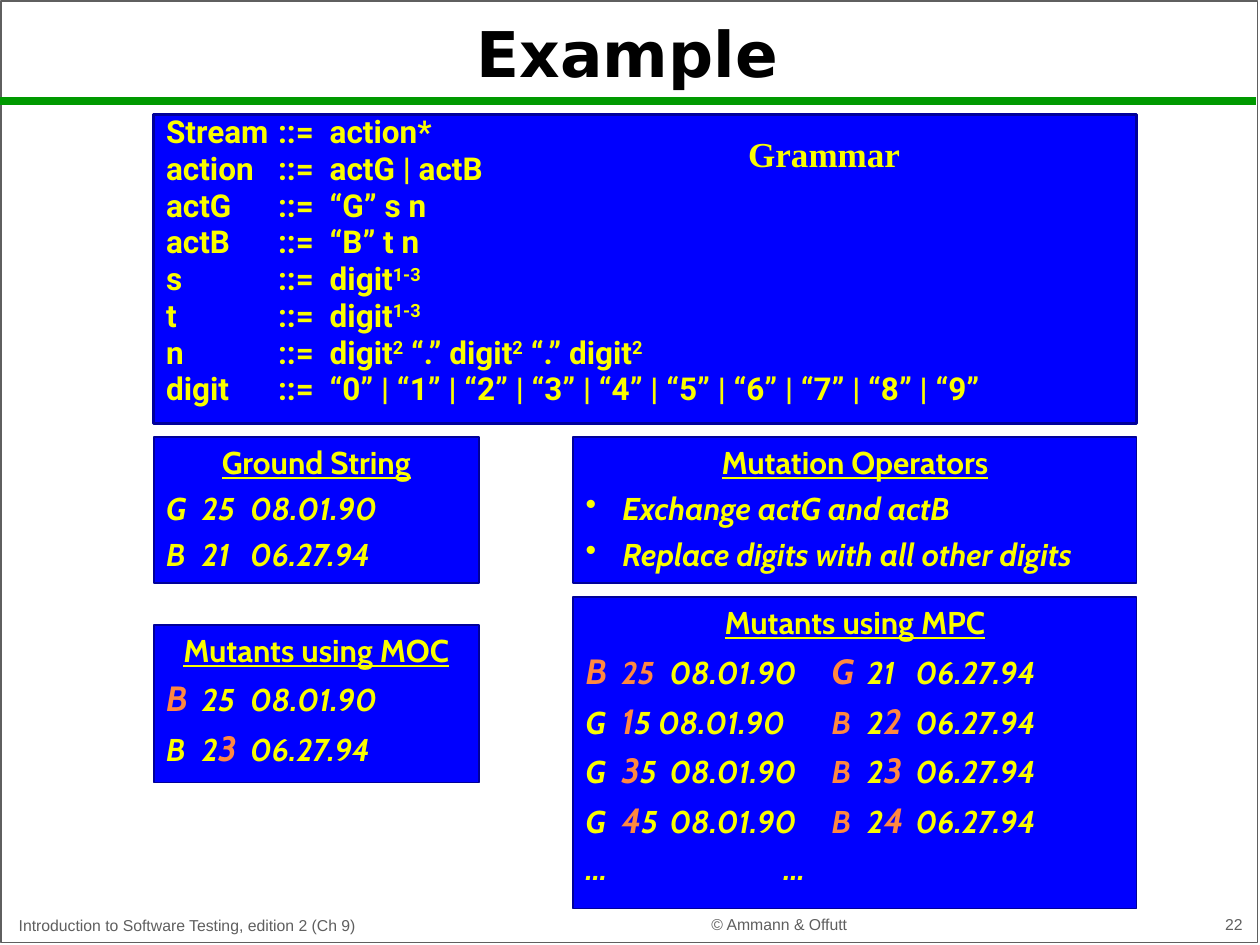
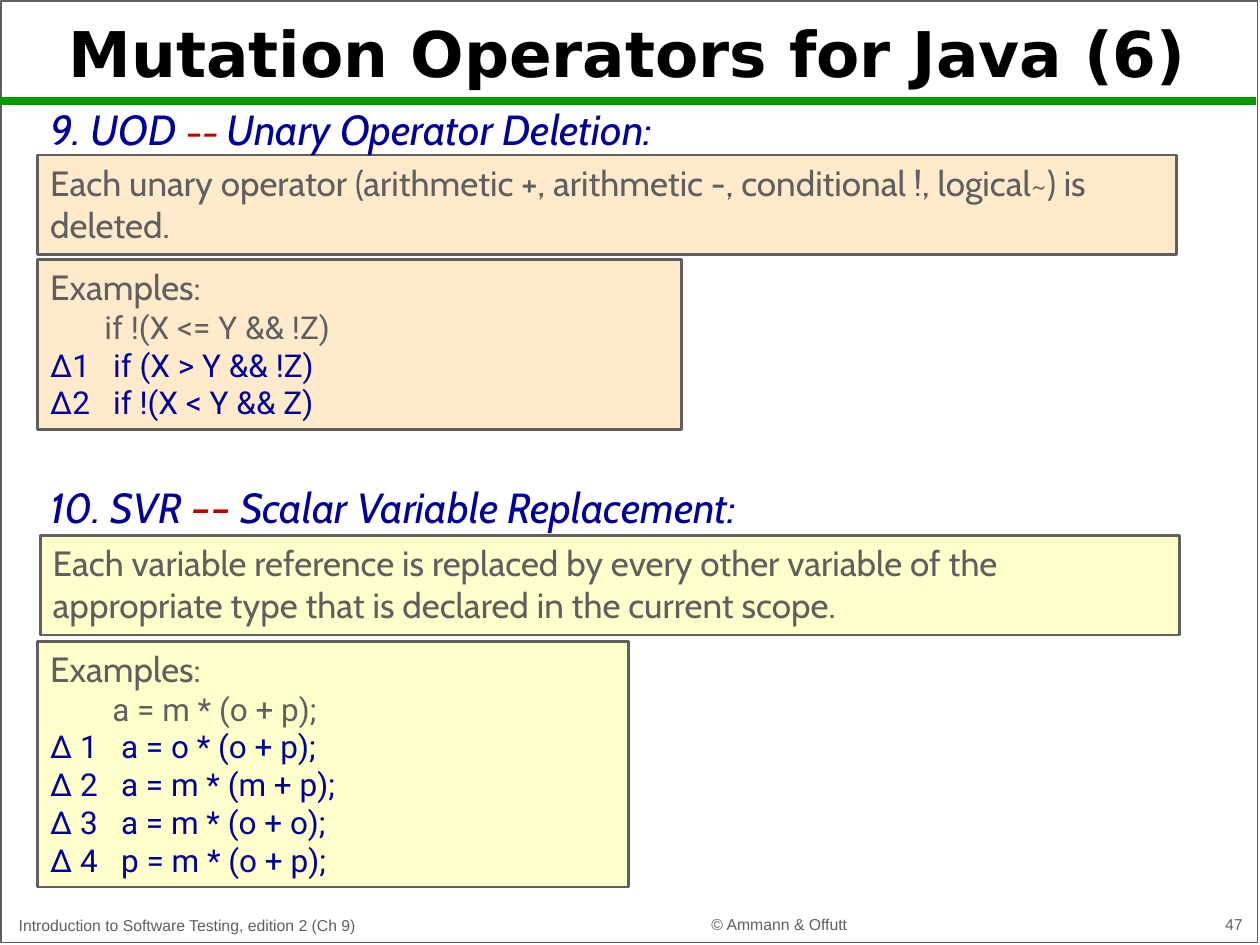
from lxml import etree
from pptx import Presentation
from pptx.dml.color import RGBColor
from pptx.enum.shapes import MSO_CONNECTOR, MSO_SHAPE
from pptx.enum.text import MSO_ANCHOR, PP_ALIGN
from pptx.oxml.ns import qn
from pptx.util import Pt

LEFT, CENTER, RIGHT = PP_ALIGN.LEFT, PP_ALIGN.CENTER, PP_ALIGN.RIGHT
TOP, MIDDLE, BOTTOM = MSO_ANCHOR.TOP, MSO_ANCHOR.MIDDLE, MSO_ANCHOR.BOTTOM
RECTANGLE, STRAIGHT = MSO_SHAPE.RECTANGLE, MSO_CONNECTOR.STRAIGHT

COLORS = {
    "black": "000000", "gray": "5F5F5F", "green": "009900",
    "blue": "0000FF", "navy": "000099", "yellow": "FAFD00",
    "orange": "FF8840", "red": "C00000", "peach": "FFEBCC", "cream": "FFFFCC",
}
TITLE = {"name": "DejaVu Sans", "size": 36, "color": "black", "bold": True}
FOOTER = {"name": "Arial", "size": 9, "color": "gray"}
GRAMMAR = {"name": "Roboto", "size": 18, "color": "yellow", "bold": True}
GRAMMAR_LABEL = {"name": "Times New Roman", "size": 20, "color": "yellow", "bold": True}
PANEL_TEXT = {"name": "Cabin", "size": 18, "color": "yellow", "bold": True, "italic": True}
PANEL_HEADING = {**PANEL_TEXT, "italic": False, "underline": True}
BODY = {"name": "Cabin", "size": 20, "color": "gray"}
CODE = {"name": "Roboto", "size": 18, "color": "gray"}
MUTANT_CODE = {**CODE, "color": "navy"}
OPERATOR = {"name": "Cabin", "size": 24, "color": "navy", "italic": True}

CHANGED = {"size": 20, "color": "orange"}
CHANGED_SMALL = {"color": "orange"}
SUPERSCRIPT = {"baseline": 30000}

GRAMMAR_STOPS = (64, 93.5)
MUTANT_STOPS = (20.5, 48, 140.5, 161, 188.5)
LEFT_PANEL, LEFT_WIDTH = 87.84, 185.76
RIGHT_PANEL, RIGHT_WIDTH = 327.6, 321.84


def color(name):
    """Return the named colour."""
    return RGBColor.from_string(COLORS[name])


def set_font(font, style):
    """Apply a text style to the font of a paragraph or run."""
    font.name = style["name"]
    font.size = Pt(style["size"])
    font.color.rgb = color(style["color"])
    font.bold = style.get("bold", False)
    font.italic = style.get("italic", False)
    font.underline = style.get("underline", False)


def set_layout(paragraph, stops=(), indent=0, bullet=False):
    """Set left indent, bullet and tab stops of a paragraph."""
    properties = paragraph._p.get_or_add_pPr()
    if indent:
        properties.set("marL", str(Pt(indent)))
        properties.set("indent", str(Pt(-indent) if bullet else 0))
    if bullet:
        etree.SubElement(properties, qn("a:buChar"), char="•")
    if stops:
        tabs = etree.SubElement(properties, qn("a:tabLst"))
        for stop in stops:
            etree.SubElement(tabs, qn("a:tab"), pos=str(Pt(stop)), algn="l")


def add_line(frame, content, style, align=LEFT, before=0, spacing=None, **layout):
    """Add a paragraph of plain strings and (text, style change) pairs."""
    first = frame.paragraphs[0]
    is_first = not first.runs
    paragraph = first if is_first else frame.add_paragraph()
    set_layout(paragraph, **layout)
    paragraph.alignment = align
    paragraph.space_before = Pt(0 if is_first else before)
    if spacing:
        paragraph.line_spacing = spacing
    if isinstance(content, str):
        paragraph.add_run().text = content
        set_font(paragraph.font, style)
        return
    for part in content:
        text, change = (part, {}) if isinstance(part, str) else part
        run = paragraph.add_run()
        run.text = text
        set_font(run.font, {**style, **change})
        if "baseline" in change:
            run._r.get_or_add_rPr().set("baseline", str(change["baseline"]))


def add_text(slide, left, top, width, height, anchor=TOP):
    """Add a wrapping text box and return its text frame."""
    frame = slide.shapes.add_textbox(Pt(left), Pt(top), Pt(width), Pt(height)).text_frame
    frame.word_wrap = True
    frame.vertical_anchor = anchor
    return frame


def add_box(slide, left, top, width, height, fill, line, weight):
    """Add an outlined rectangle and return its text frame."""
    shape = slide.shapes.add_shape(RECTANGLE, Pt(left), Pt(top), Pt(width), Pt(height))
    shape.shadow.inherit = False
    if fill:
        shape.fill.solid()
        shape.fill.fore_color.rgb = color(fill)
    else:
        shape.fill.background()
    shape.line.color.rgb = color(line)
    shape.line.width = Pt(weight)
    shape.text_frame.word_wrap = True
    shape.text_frame.vertical_anchor = TOP
    return shape.text_frame


def add_base_slide(presentation, title, number):
    """Add a slide with border, title rule, footers and title."""
    slide = presentation.slides.add_slide(presentation.slide_layouts[6])
    add_box(slide, 0.72, 0.72, 717.84, 537.84, None, "gray", 1)
    rule = slide.shapes.add_connector(STRAIGHT, Pt(0), Pt(57.6), Pt(717.84), Pt(57.6))
    rule.line.color.rgb = color("green")
    rule.line.width = Pt(4.5)
    etree.SubElement(rule._element.spPr, qn("a:effectLst"))
    footers = (
        (3.6, 517.68, 313.2, "Introduction to Software Testing, edition 2 (Ch 9)", LEFT),
        (331.2, 517, 228.24, "© Ammann & Offutt", CENTER),
        (567.36, 517, 149.76, number, RIGHT),
    )
    for left, top, width, text, align in footers:
        add_line(add_text(slide, left, top, width, 20.16, BOTTOM), text, FOOTER, align)
    frame = add_text(slide, 0.72, 7.92, 715.68, 49.68, MIDDLE)
    add_line(frame, title, TITLE, CENTER, spacing=0.9)
    return slide


def add_panel(slide, left, top, width, height, heading, lines, **layout):
    """Add a blue panel with a centred heading and italic lines."""
    frame = add_box(slide, left, top, width, height, "blue", "navy", 1)
    add_line(frame, heading, PANEL_HEADING, CENTER)
    for line in lines:
        add_line(frame, line, PANEL_TEXT, before=4.5, **layout)
    return frame


def add_grammar(slide, rules):
    """Add the grammar box with one aligned line per rule."""
    frame = add_box(slide, LEFT_PANEL, 65.52, 561.6, 176.4, "blue", "navy", 1.5)
    for symbol, *production in rules:
        add_line(frame, [f"{symbol}\t::=\t", *production], GRAMMAR,
                 before=4.8, spacing=0.75, stops=GRAMMAR_STOPS)
    add_line(add_text(slide, 420.48, 72, 112.32, 30.96), "Grammar", GRAMMAR_LABEL)


def add_operator(slide, top, parts):
    """Add the heading of a mutation operator."""
    add_line(add_text(slide, 21.6, top, 681, 36), parts, OPERATOR)


def add_definition(slide, left, top, text, fill):
    """Add the box that defines a mutation operator."""
    add_line(add_box(slide, left, top, 650.88, 56.88, fill, "gray", 1.5), text, BODY)


def add_examples(slide, top, width, height, fill, statement, mutants, stop):
    """Add a box with a statement and its labelled mutants."""
    frame = add_box(slide, 21.6, top, width, height, fill, "gray", 1.5)
    add_line(frame, "Examples:", BODY)
    add_line(frame, statement, CODE, indent=stop - 5)
    for label, mutant in mutants:
        add_line(frame, f"{label}\t{mutant}", MUTANT_CODE, stops=(stop,))


def build_example(presentation):
    """Build the grammar and mutants slide."""
    slide = add_base_slide(presentation, "Example", "22")
    add_panel(slide, LEFT_PANEL, 249.84, LEFT_WIDTH, 83.52, "Ground String",
              ["G\t25\t08.01.90", "B\t21\t06.27.94"], stops=MUTANT_STOPS)
    add_panel(slide, RIGHT_PANEL, 249.84, RIGHT_WIDTH, 83.52, "Mutation Operators",
              ["Exchange actG and actB", "Replace digits with all other digits"],
              indent=21, bullet=True)
    add_panel(slide, LEFT_PANEL, 357.12, LEFT_WIDTH, 90, "Mutants using MOC",
              [[("B", CHANGED), "\t25\t08.01.90"],
               ["B\t2", ("3", CHANGED), "\t06.27.94"]], stops=MUTANT_STOPS)
    mutants = [[("B", CHANGED), "\t", ("25", CHANGED_SMALL), "\t08.01.90\t",
                ("G", CHANGED), "\t21\t06.27.94"]]
    for first, rest, second in (("1", "5 08.01.90", "2"), ("3", "5\t08.01.90", "3"),
                                ("4", "5\t08.01.90", "4")):
        mutants.append(["G\t", (first, CHANGED), f"{rest}\t", ("B", CHANGED_SMALL),
                        "\t2", (second, CHANGED), "\t06.27.94"])
    frame = add_panel(slide, RIGHT_PANEL, 341.28, RIGHT_WIDTH, 177.84,
                      "Mutants using MPC", mutants, stops=MUTANT_STOPS)
    add_line(frame, "…\t…", PANEL_TEXT, before=4.5, stops=(113,))

    one_to_three, two = ("1-3", SUPERSCRIPT), ("2", SUPERSCRIPT)
    add_grammar(slide, [
        ("Stream", "action*"),
        ("action", "actG | actB"),
        ("actG", "“G” s n"),
        ("actB", "“B” t n"),
        ("s", "digit", one_to_three),
        ("t", "digit", one_to_three),
        ("n", "digit", two, " “.” digit", two, " “.” digit", two),
        ("digit", " | ".join(f"“{digit}”" for digit in range(10))),
    ])


def build_java_operators(presentation):
    """Build the slide on unary deletion and variable replacement."""
    slide = add_base_slide(presentation, "Mutation Operators for Java (6)", "47")
    add_definition(slide, 21.6, 88.56, "Each unary operator (arithmetic +, arithmetic -, "
                   "conditional !, logical~) is deleted.", "peach")
    add_operator(slide, 55.44, ["9. UOD ", ("–– ", {"size": 20, "color": "red"}),
                                "Unary Operator Deletion:"])
    add_examples(slide, 148.32, 367.92, 97.2, "peach", "if !(X <= Y && !Z)",
                 [("∆1", "if (X > Y && !Z)"), ("∆2", "if !(X < Y && Z)")], 36)
    add_definition(slide, 23.04, 306, "Each variable reference is replaced by every other "
                   "variable of the appropriate type that is declared in the current scope.",
                   "cream")
    add_operator(slide, 271.44, ["10. SVR ", ("––", {"color": "red"}),
                                 " Scalar Variable Replacement:"])
    replacements = ("a = o * (o + p);", "a = m * (m + p);",
                    "a = m * (o + o);", "p = m * (o + p);")
    add_examples(slide, 366.48, 337.68, 140.4, "cream", "a = m * (o + p);",
                 [(f"∆ {number}", code) for number, code in enumerate(replacements, 1)], 40.5)


def main():
    """Build and save the presentation."""
    presentation = Presentation()
    presentation.slide_width = Pt(720)
    presentation.slide_height = Pt(540)
    build_example(presentation)
    build_java_operators(presentation)
    presentation.save("out.pptx")


if __name__ == "__main__":
    main()
